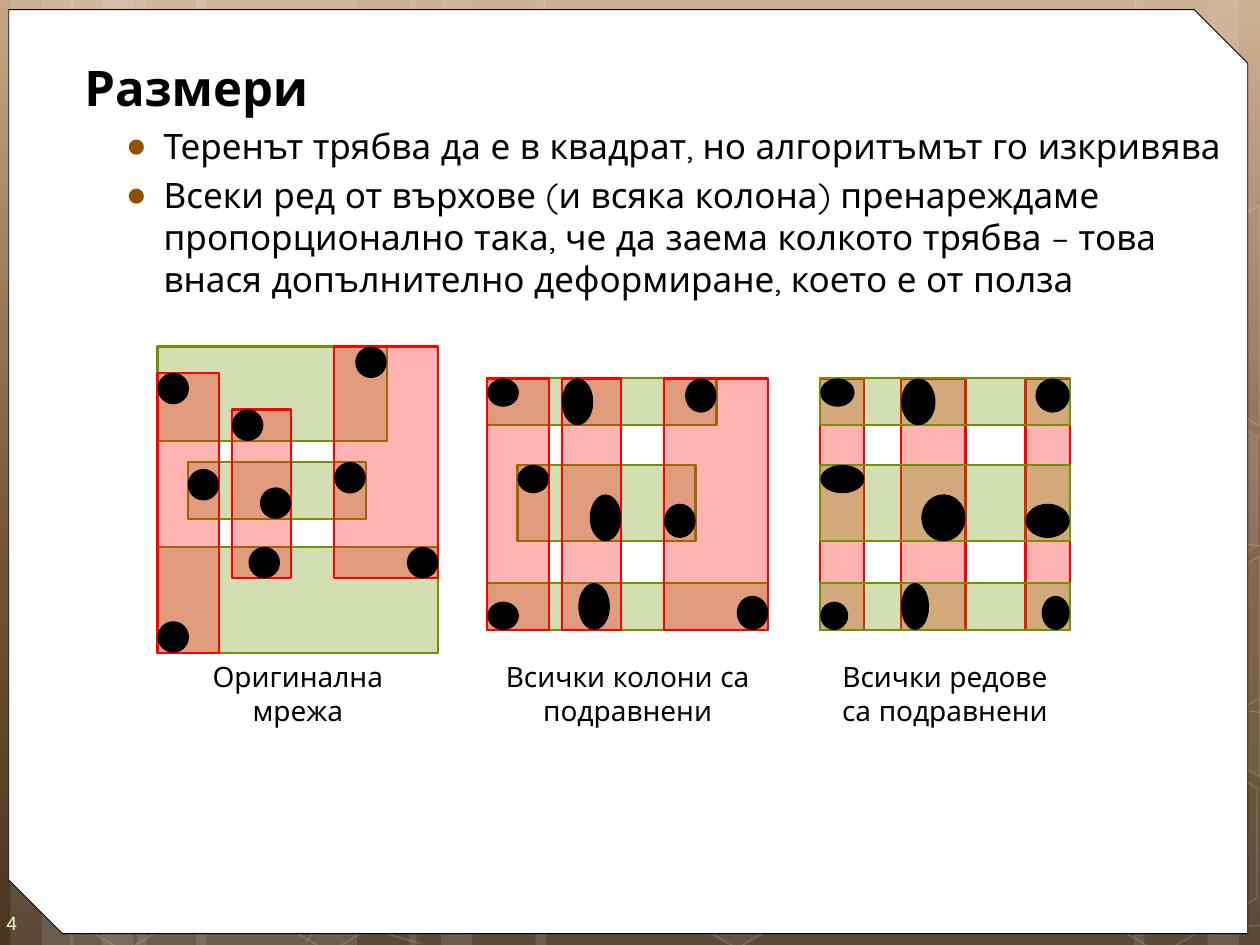
from copy import deepcopy

from lxml.etree import SubElement
from pptx import Presentation
from pptx.dml.color import RGBColor
from pptx.enum.shapes import MSO_SHAPE as Shape
from pptx.enum.text import MSO_ANCHOR as Anchor, PP_ALIGN as Align
from pptx.oxml.ns import qn
from pptx.util import Pt

COLORS = {
    "black": "000000", "white": "FFFFFF", "bullet": "8F5201", "number": "EEFFD6",
    "row": "6F9500", "row line": "6F9400", "column": "FF0000",
}
BACKGROUND = [(0, "C8A685"), (0.62, "705032"), (1, "4A3622")]
FONT = "Quicksand"

TITLE = "Размери"
BULLETS = [
    "Теренът трябва да е в квадрат, но алгоритъмът го изкривява",
    "Всеки ред от върхове (и всяка колона) пренареждаме пропорционално така, "
    "че да заема колкото трябва – това внася допълнително деформиране, "
    "което е от полза",
]
CAPTIONS = ["Оригинална мрежа", "Всички колони са подравнени",
            "Всички редове са подравнени"]
SLIDE_NUMBER = "4"

# Background decoration: stripes as (left, width), hexagons as
# (left, top, fill opacity, line opacity), curves as Bezier control points.
STRIPES = [(78, 126), (6, 36), (24, 60), (112, 126), (40, 36), (58, 60), (528, 126),
           (690, 36), (648, 60), (306, 222), (234, 36), (252, 60)]
HEXAGONS = [(358, 424, 6, 12), (8, 425.5, 0, 12), (125, 426, 0, 12),
            (600.5, 427, 0, 12), (600.5, 226, 7, 8)]
CUT_HEXAGON = [(667, 349), (720, 317.5), (720, 444), (667, 412.5)]
CUT_HEXAGONS = [(0, 4), (-200.5, 0)]  # vertical shift, fill opacity
CURVES = [
    [(570, 444), (636, 431), (703, 410), (720, 399)],
    [(471, 279), (550, 284), (682, 307), (720, 312)],
    [(4, 444), (91, 484), (178, 523), (240, 539)],
    [(680, 531), (699, 531), (712, 529), (720, 529)],
    [(174, 539), (187, 525), (200, 510), (217, 498)],
    [(686, 405), (699, 405), (712, 406), (720, 407)],
]

# Left and top of each vertex in the first network, row by row
VERTICES = [
    [(90, 213), (132.5, 234), (203, 198)],
    [(107.25, 268), (148.5, 278.5), (191, 264)],
    [(90, 355), (142, 312.5), (232.5, 312.5)],
]
VERTEX_SIZE = 18
COLUMN_SPAN = (216.25, 360)  # top and bottom of every aligned column
COLUMN_SHIFT = 188.5
ROW_SPAN = (468.75, 611.25)  # left and right of every aligned row
CAPTION_TOP, CAPTION_HEIGHT = 373.5, 46


def rgb(name):
    return RGBColor.from_string(COLORS.get(name, name))


def set_opacity(shape, tag_path, percent):
    color = shape.element.spPr.find(tag_path).find(qn("a:srgbClr"))
    SubElement(color, qn("a:alpha")).set("val", str(percent * 1000))


def paint(shape, fill=None, opacity=100, line=None, width=1, line_opacity=100):
    shape.shadow.inherit = False
    if fill and opacity:
        shape.fill.solid()
        shape.fill.fore_color.rgb = rgb(fill)
        set_opacity(shape, qn("a:solidFill"), opacity)
    else:
        shape.fill.background()
    if line:
        shape.line.width = Pt(width)
        shape.line.color.rgb = rgb(line)
        set_opacity(shape, qn("a:ln") + "/" + qn("a:solidFill"), line_opacity)
    else:
        shape.line.fill.background()
    return shape


def add_shape(slide, kind, box, **style):
    return paint(slide.shapes.add_shape(kind, *map(Pt, box)), **style)


def add_outline(slide, points, closed, **style):
    start, *rest = [(Pt(x), Pt(y)) for x, y in points]
    builder = slide.shapes.build_freeform(*start)
    builder.add_line_segments(rest, close=closed)
    return paint(builder.convert_to_shape(), **style)


def write(shape, texts, size, color="black", font=FONT, bold=False, align=Align.LEFT,
          anchor=Anchor.TOP, space=0, bullet=None):
    frame = shape.text_frame
    frame.word_wrap, frame.vertical_anchor = True, anchor
    frame.text = "\n".join(texts)
    for paragraph in frame.paragraphs:
        paragraph.alignment, paragraph.space_before = align, Pt(space)
        style = paragraph.runs[0].font
        style.name, style.size, style.bold = font, Pt(size), bold
        style.color.rgb = rgb(color)
        if bullet:
            properties = paragraph._p.get_or_add_pPr()
            properties.set("marL", str(Pt(50.4)))
            properties.set("indent", str(Pt(-21.6)))
            bullet_color = SubElement(properties, qn("a:buClr"))
            SubElement(bullet_color, qn("a:srgbClr")).set("val", COLORS["bullet"])
            SubElement(properties, qn("a:buFont")).set("typeface", "Arial")
            SubElement(properties, qn("a:buChar")).set("char", bullet)


def add_text(slide, box, texts, size, **style):
    shape = slide.shapes.add_textbox(*map(Pt, box))
    write(shape, texts, size, **style)
    return shape


def bezier(points, steps=24):
    for step in range(steps + 1):
        t = step / steps
        weights = ((1 - t) ** 3, 3 * t * (1 - t) ** 2, 3 * t * t * (1 - t), t ** 3)
        yield tuple(sum(w * p[axis] for w, p in zip(weights, points)) for axis in (0, 1))


def bounds(boxes):
    left, top = (min(box[axis] for box in boxes) for axis in (0, 1))
    right, bottom = (max(box[axis] + box[axis + 2] for box in boxes) for axis in (0, 1))
    return left, top, right - left, bottom - top


def stretch(boxes, axis, span):
    """Scale a line of boxes along one axis so that together they fill the span."""
    frame = bounds(boxes)
    scale = (span[1] - span[0]) / frame[axis + 2]
    stretched = []
    for box in map(list, boxes):
        box[axis] = span[0] + (box[axis] - frame[axis]) * scale
        box[axis + 2] *= scale
        stretched.append(box)
    return stretched


def transpose(grid):
    return [list(line) for line in zip(*grid)]


def draw_network(slide, rows, caption, order):
    bands = {"row": rows, "column": transpose(rows)}
    for name in order:
        for line in bands[name]:
            add_shape(slide, Shape.RECTANGLE, bounds(line), fill=name, opacity=30,
                      line="row line" if name == "row" else name, width=1.25)
    vertices = sum(rows, [])
    for box in vertices:
        add_shape(slide, Shape.OVAL, box, fill="black")
    left, _, width, _ = bounds(vertices)
    add_text(slide, (left, CAPTION_TOP, width, CAPTION_HEIGHT), [caption], 16,
             align=Align.CENTER)


def draw_background(slide):
    fill = slide.background.fill
    fill.gradient()
    fill.gradient_angle = 270
    stops = slide.element.find(".//" + qn("a:gsLst"))
    stops.insert(1, deepcopy(stops[0]))
    for stop, (position, color) in zip(fill.gradient_stops, BACKGROUND):
        stop.position, stop.color.rgb = position, rgb(color)
    for left, width in STRIPES:
        add_shape(slide, Shape.RECTANGLE, (left, 0, width, 540), fill="white", opacity=10)
    for points in CURVES:
        add_outline(slide, bezier(points), False, line="white", width=0.5, line_opacity=20)
    for left, top, opacity, line_opacity in HEXAGONS:
        hexagon = add_shape(slide, Shape.HEXAGON, (left, top, 126, 109.5), fill="white",
                            opacity=opacity, line="white", line_opacity=line_opacity)
        hexagon.adjustments[0] = 0.285
        hexagon.rotation = 30
    for shift, opacity in CUT_HEXAGONS:
        add_outline(slide, [(x, y + shift) for x, y in CUT_HEXAGON], True, fill="white",
                    opacity=opacity, line="white", line_opacity=12)
    sheet = add_shape(slide, Shape.SNIP_2_DIAG_RECTANGLE, (5, 5.5, 708, 528),
                      fill="white", line="black", width=0.5)
    sheet.adjustments[0], sheet.adjustments[1] = 0, 0.058


def main():
    presentation = Presentation()
    presentation.slide_width, presentation.slide_height = Pt(720), Pt(540)
    slide = presentation.slides.add_slide(presentation.slide_layouts[5])
    draw_background(slide)

    title = slide.shapes.title
    title.element.getparent().append(title.element)  # in front of the sheet
    title.left, title.top, title.width, title.height = map(Pt, (41, 29.5, 673, 41))
    write(title, [TITLE], 28, bold=True)
    add_text(slide, (36, 67.5, 678, 112), BULLETS, 20, space=4, bullet="●")

    number = add_text(slide, (0, 511, 42, 29), [SLIDE_NUMBER], 11, color="number",
                      font="Arial", anchor=Anchor.MIDDLE)
    frame = number.text_frame
    frame.margin_left, frame.margin_top = Pt(3.6), Pt(10.8)
    frame.margin_right, frame.margin_bottom = Pt(0), Pt(7.2)

    network = [[(x, y, VERTEX_SIZE, VERTEX_SIZE) for x, y in row] for row in VERTICES]
    shifted = [[(x + COLUMN_SHIFT, *rest) for x, *rest in row] for row in network]
    columns_aligned = transpose(
        [stretch(column, 1, COLUMN_SPAN) for column in transpose(shifted)])
    rows_aligned = [stretch(row, 0, ROW_SPAN) for row in columns_aligned]
    orders = [("row", "column"), ("row", "column"), ("column", "row")]
    for rows, caption, order in zip(
            (network, columns_aligned, rows_aligned), CAPTIONS, orders):
        draw_network(slide, rows, caption, order)

    presentation.save("out.pptx")


if __name__ == "__main__":
    main()
